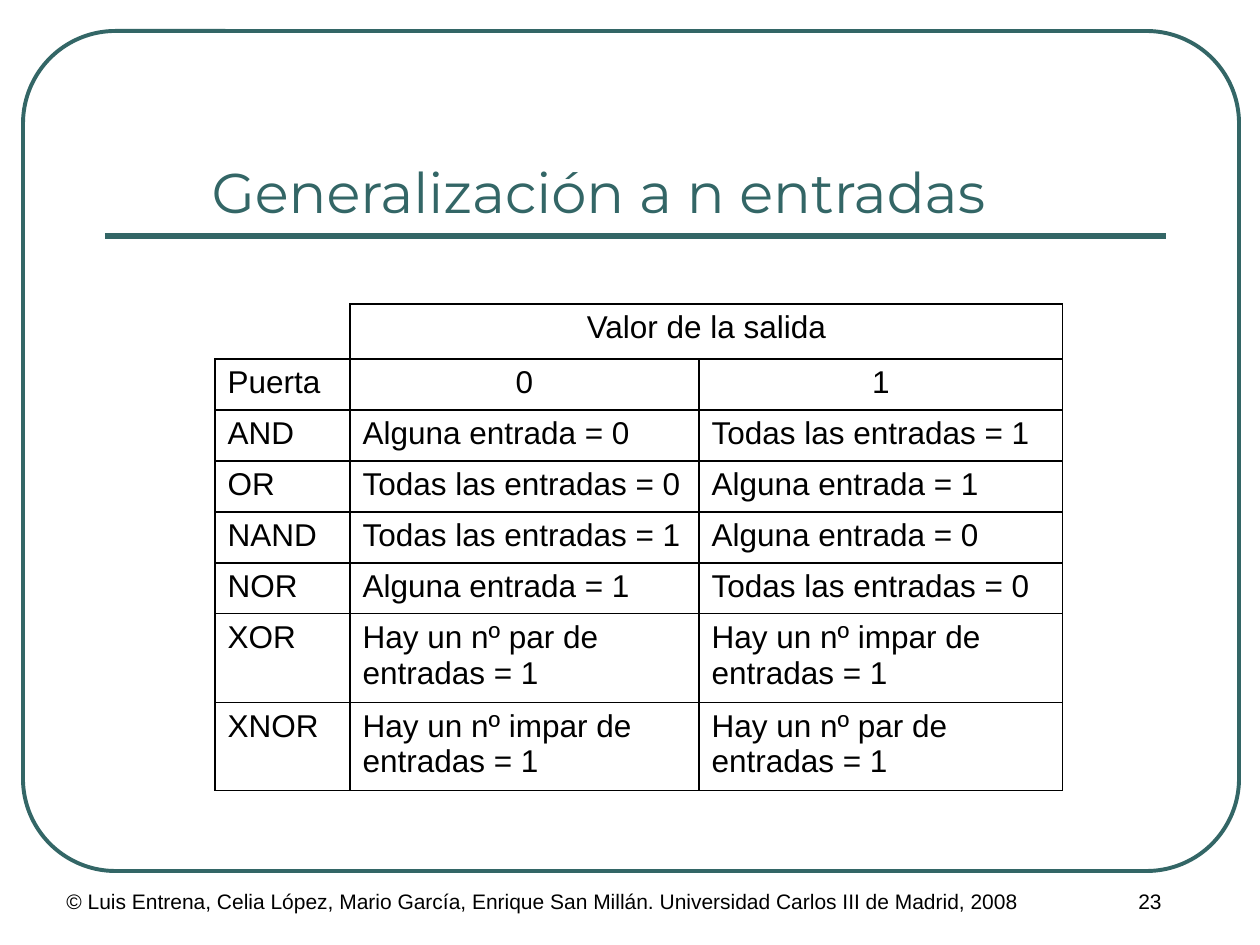
import pptx
import pptx.dml.color
import pptx.enum.shapes
import pptx.enum.text
import pptx.oxml
import pptx.oxml.ns
import pptx.util
import lxml.etree

PX_PER_INCH = 126
TEAL, BLACK = "336666", "000000"
LEFT = pptx.enum.text.PP_ALIGN.LEFT
CENTER = pptx.enum.text.PP_ALIGN.CENTER
TOP = pptx.enum.text.MSO_ANCHOR.TOP
BOTTOM = pptx.enum.text.MSO_ANCHOR.BOTTOM
hex_color = pptx.dml.color.RGBColor.from_string


def px(*lengths):
    """Turn whole pixels into a list of EMU lengths."""
    return [pptx.util.Emu(round(n * 914400 / PX_PER_INCH)) for n in lengths]


def write(frame, text, size=18, font="Arial", color=BLACK, align=LEFT, anchor=TOP):
    frame.word_wrap = True
    frame.vertical_anchor = anchor
    paragraph = frame.paragraphs[0]
    paragraph.alignment = align
    run = paragraph.add_run()
    run.text = text
    run.font.size = pptx.util.Pt(size)
    run.font.name = font
    run.font.color.rgb = hex_color(color)


prs = pptx.Presentation()
prs.slide_width, prs.slide_height = px(1260, 945)
slide = prs.slides.add_slide(prs.slide_layouts[5])
shapes = slide.shapes

# Rounded frame and the rule under the title
frame = shapes.add_shape(
    pptx.enum.shapes.MSO_SHAPE.ROUNDED_RECTANGLE, *px(23, 31, 1216, 840))
frame.adjustments[0] = 0.11
frame.shadow.inherit = False
frame.fill.background()
frame.line.color.rgb = hex_color(TEAL)
frame.line.width = pptx.util.Pt(2.25)

title_rule = shapes.add_connector(
    pptx.enum.shapes.MSO_CONNECTOR.STRAIGHT, *px(105, 236, 1166, 236))
title_rule.line.color.rgb = hex_color(TEAL)
title_rule.line.width = pptx.util.Pt(3)
lxml.etree.SubElement(title_rule._element.spPr, pptx.oxml.ns.qn("a:effectLst"))

# Footer
copyright_line = "© Luis Entrena, Celia López, Mario García, Enrique San Millán. Universidad Carlos III de Madrid, 2008"
for text, left, width, align in [(copyright_line, 54, 1071, LEFT), ("23", 1040, 220, CENTER)]:
    footer = shapes.add_textbox(*px(left, 882, width, 63))
    write(footer.text_frame, text, size=12, align=align)

# Title
title = shapes.title
title.left, title.top, title.width, title.height = px(199, 73, 1061, 158)
title.text_frame.auto_size = pptx.enum.text.MSO_AUTO_SIZE.NONE
write(title.text_frame, "Generalización a n entradas",
      size=32, font="Montserrat", color=TEAL, anchor=BOTTOM)

# Table of gates
gates = [
    ("", "Valor de la salida", ""),
    ("Puerta", "0", "1"),
    ("AND", "Alguna entrada = 0", "Todas las entradas = 1"),
    ("OR", "Todas las entradas = 0", "Alguna entrada = 1"),
    ("NAND", "Todas las entradas = 1", "Alguna entrada = 0"),
    ("NOR", "Alguna entrada = 1", "Todas las entradas = 0"),
    ("XOR", "Hay un nº par de entradas = 1", "Hay un nº impar de entradas = 1"),
    ("XNOR", "Hay un nº impar de entradas = 1", "Hay un nº par de entradas = 1"),
]
column_widths = [135, 349, 364]
row_heights = [55] + [51] * 5 + [88] * 2
table = shapes.add_table(
    len(gates), len(column_widths),
    *px(215, 304, sum(column_widths), sum(row_heights))).table
table.first_row = table.horz_banding = False
for column, width in zip(table.columns, px(*column_widths)):
    column.width = width
for row, height in zip(table.rows, px(*row_heights)):
    row.height = height
table.cell(0, 1).merge(table.cell(0, 2))

for r, gate in enumerate(gates):
    for c, text in enumerate(gate):
        cell = table.cell(r, c)
        properties = cell._tc.get_or_add_tcPr()
        for side in "LRTB":
            is_open = r == c == 0 and side in "LT"
            fill = ("<a:noFill/>" if is_open else
                    f'<a:solidFill><a:srgbClr val="{BLACK}"/></a:solidFill>')
            width = pptx.util.Pt(0.75)
            properties.append(pptx.oxml.parse_xml(
                f'<a:ln{side} {pptx.oxml.ns.nsdecls("a")} w="{width}">{fill}</a:ln{side}>'))
        cell.fill.background()
        if text:
            write(cell.text_frame, text, align=CENTER if r < 2 and c else LEFT)

prs.save("out.pptx")
